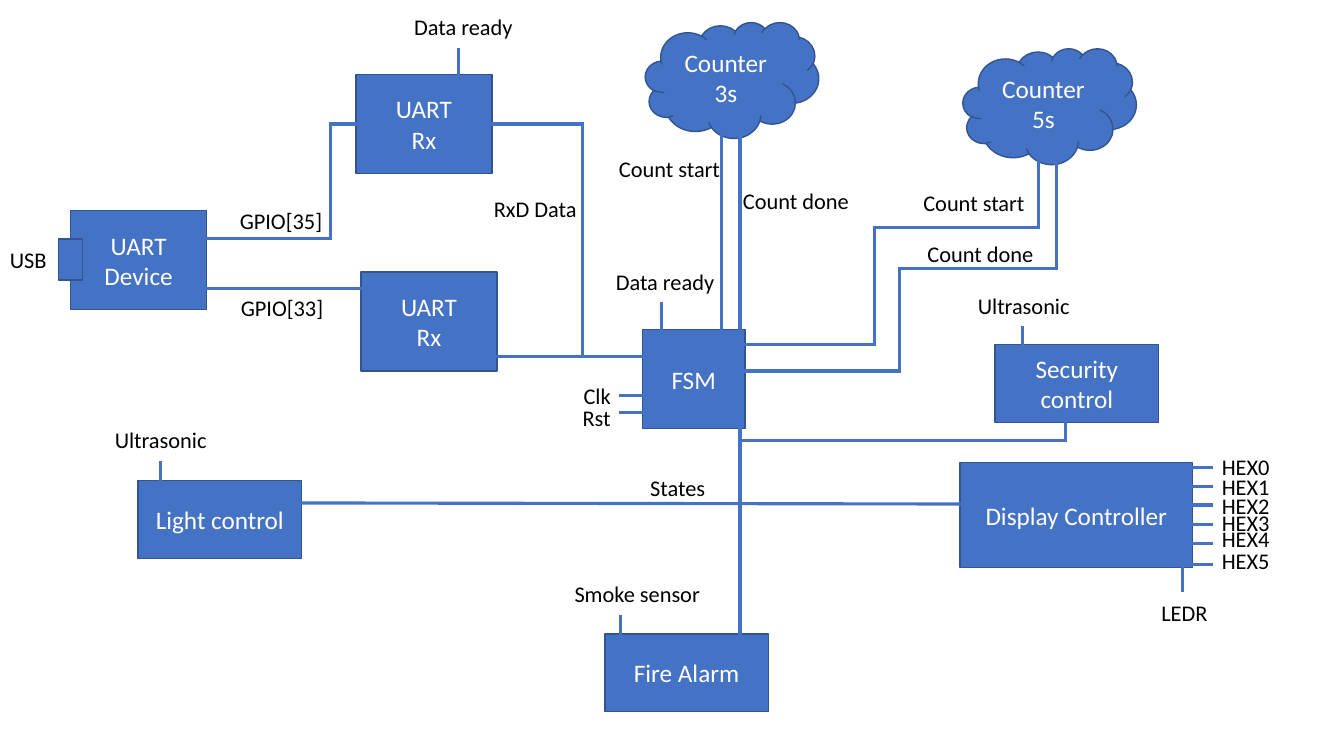
"""Builds the block diagram of a UART-controlled state machine with its sensors and displays."""
from itertools import pairwise

from lxml import etree
from pptx import Presentation
from pptx import util as u
from pptx.dml.color import RGBColor
from pptx.enum import shapes, text
from pptx.oxml.ns import qn

PX = u.Inches(1) // 100
BLUE, EDGE, WHITE, BLACK = "4472C4", "325491", "FFFFFF", "000000"
RECT, CLOUD = shapes.MSO_SHAPE.RECTANGLE, shapes.MSO_SHAPE.CLOUD

deck = Presentation()
deck.slide_width, deck.slide_height = 1333 * PX, 750 * PX
page = deck.slides.add_slide(deck.slide_layouts[6])


def write(frame, words, size, color, align):
    """Put words into a text frame, with a line break at each newline."""
    frame.word_wrap = True
    para = frame.paragraphs[0]
    para.alignment = align
    for index, line in enumerate(words.split("\n")):
        if index:
            para.add_line_break()
        span = para.add_run()
        span.text = line
        span.font.name, span.font.size = "Calibri", u.Pt(size)
        span.font.color.rgb = RGBColor.from_string(color)


def wire(start, end):
    """Draw one straight blue line between two points."""
    line = page.shapes.add_connector(shapes.MSO_CONNECTOR.STRAIGHT, *(n * PX for n in (*start, *end)))
    line.line.color.rgb = RGBColor.from_string(BLUE)
    line.line.width = u.Pt(2.25)
    line.line._get_or_add_ln().set("cap", "sq")
    etree.SubElement(line._element.spPr, qn("a:effectLst"))
    return line


blocks = [
    ("fsm", RECT, "FSM", 637, 327, 102, 98),
    ("display", RECT, "Display Controller", 952, 459, 231, 104),
    ("device", RECT, "UART\nDevice", 70, 209, 135, 98),
    ("usb plug", RECT, "", 58, 237, 24, 41),
    ("upper receiver", RECT, "UART\nRx", 353, 74, 135, 98),
    ("lower receiver", RECT, "UART\nRx", 358, 270, 135, 98),
    ("light", RECT, "Light control", 137, 477, 162, 77),
    ("fire", RECT, "Fire Alarm", 600, 629, 162, 77),
    ("security", RECT, "Security control", 987, 342, 162, 77),
    ("counter 3s", CLOUD, "Counter 3s", 640, 22, 172, 115),
    ("counter 5s", CLOUD, "Counter 5s", 955, 48, 172, 115),
]
boxes = {}
for name, kind, words, *place in blocks:
    box = page.shapes.add_shape(kind, *(n * PX for n in place))
    box.shadow.inherit = False
    box.fill.solid()
    box.fill.fore_color.rgb = RGBColor.from_string(BLUE)
    box.line.color.rgb = RGBColor.from_string(EDGE)
    box.line.width = u.Pt(1)
    box.text_frame.vertical_anchor = text.MSO_ANCHOR.MIDDLE
    if words:
        write(box.text_frame, words, 18, WHITE, text.PP_ALIGN.CENTER)
    boxes[name] = box

routes = [
    [(204, 237), (328, 237), (328, 123)],
    [(204, 286), (358, 286)],
    [(578, 123), (578, 354)],
    [(493, 354), (637, 354)],
    [(716, 117), (716, 327)],
    [(734, 117), (734, 327)],
    [(1030, 143), (1030, 226), (867, 226), (867, 342), (739, 342)],
    [(1048, 143), (1048, 266), (892, 266), (892, 368), (739, 368)],
    [(734, 425), (734, 629)],
    [(1057, 419), (1057, 437), (734, 437)],
    [(299, 499), (952, 500)],
]
for route in routes:
    for start, end in pairwise(route):
        wire(start, end)

wire((328, 123), (353, 123)).end_connect(boxes["upper receiver"], 1)
wire((578, 123), (488, 123)).end_connect(boxes["upper receiver"], 3)

for x, y in [(656, 301), (455, 49), (159, 459), (1014, 325), (615, 612), (1173, 560)]:
    wire((x, y), (x, y + 26))
for y in (392, 409):
    wire((615, y), (640, y))

labels = [
    ("Rst", 568, 396, 63), ("Clk", 569, 374, 70), ("Data ready", 601, 261, 140),
    ("States", 635, 465, 90), ("USB", 0, 239, 140), ("GPIO[35]", 228, 201, 140),
    ("GPIO[33]", 229, 287, 140), ("Data ready", 401, 8, 140), ("RxD Data", 480, 189, 140),
    ("Ultrasonic", 104, 418, 140), ("Ultrasonic", 960, 285, 140),
    ("Smoke sensor", 560, 571, 156), ("LEDR", 1142, 589, 78),
    ("Count start", 604, 149, 123), ("Count done", 727, 181, 140),
    ("Count start", 906, 183, 123), ("Count done", 910, 233, 140),
]
digits = [(464, 445), (483, 464), (501, 483), (520, 500), (539, 516), (560, 538)]
for digit, (pin_y, label_y) in enumerate(digits):
    wire((1202, pin_y), (1183, pin_y))
    labels.append((f"HEX{digit}", 1202, label_y, 78))

for words, x, y, width in labels:
    label = page.shapes.add_textbox(x * PX, y * PX, width * PX, 37 * PX)
    write(label.text_frame, words, 16, BLACK, text.PP_ALIGN.LEFT)
    label.text_frame.auto_size = text.MSO_AUTO_SIZE.SHAPE_TO_FIT_TEXT

deck.save("out.pptx")
